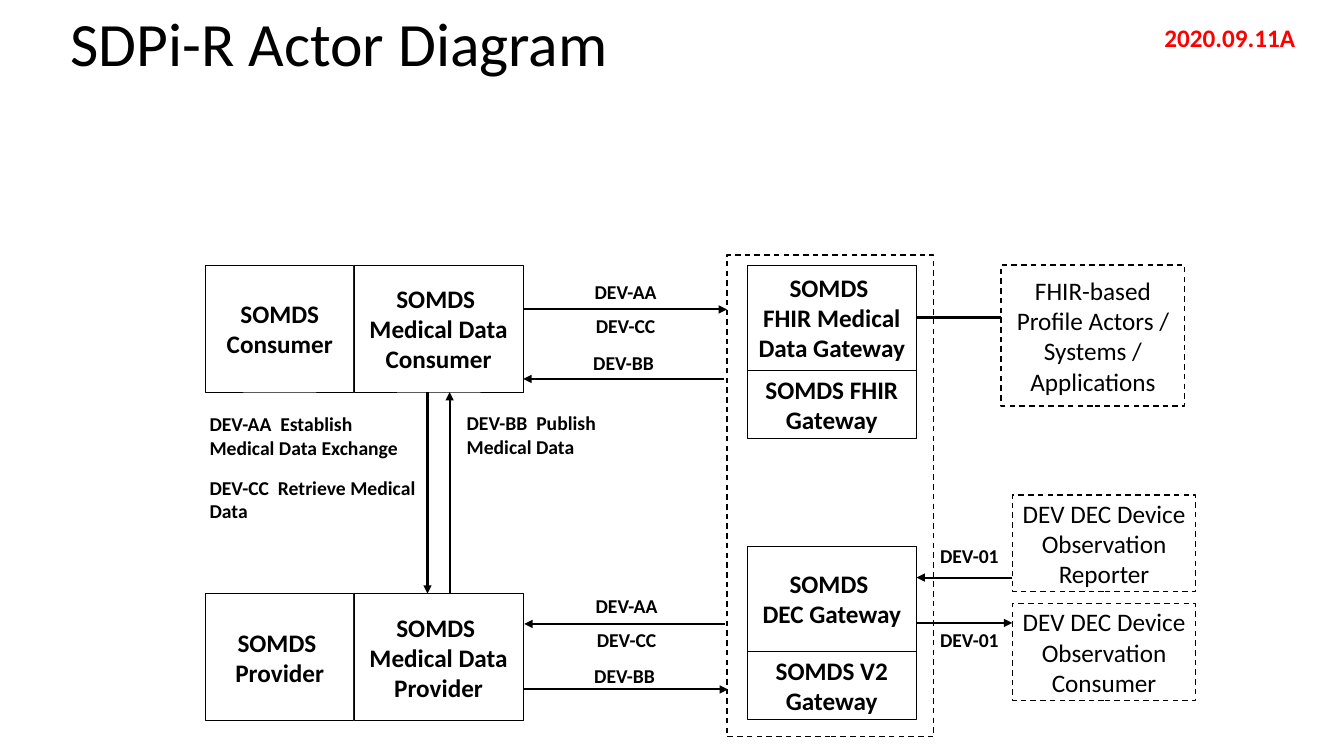
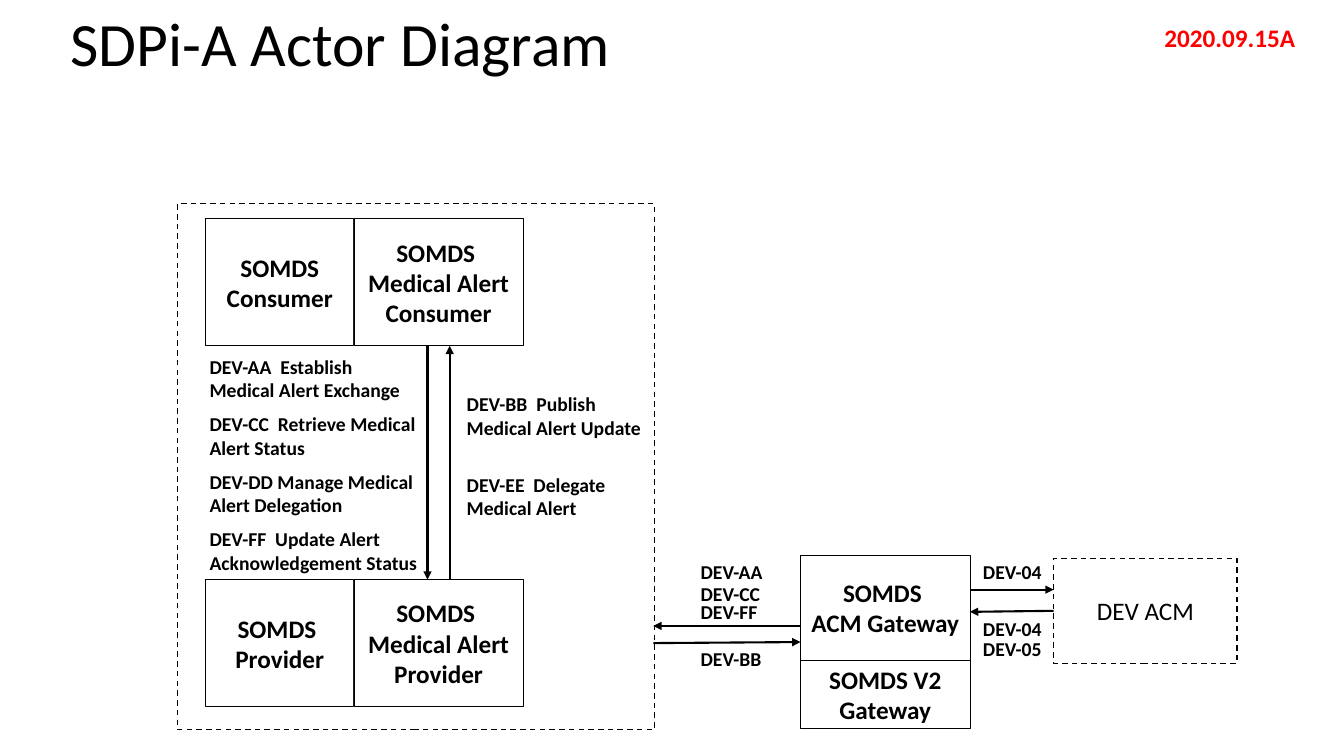
from typing import NamedTuple, Optional

from lxml import etree
from pptx import Presentation
from pptx.dml.color import RGBColor
from pptx.enum.dml import MSO_LINE
from pptx.enum.shapes import MSO_CONNECTOR, MSO_SHAPE
from pptx.enum.text import MSO_ANCHOR, MSO_AUTO_SIZE, PP_ALIGN
from pptx.oxml.ns import qn
from pptx.util import Inches, Pt

RECT = MSO_SHAPE.RECTANGLE
STRAIGHT = MSO_CONNECTOR.STRAIGHT
DASH = MSO_LINE.DASH
LEFT, CENTER = PP_ALIGN.LEFT, PP_ALIGN.CENTER
TOP, MIDDLE = MSO_ANCHOR.TOP, MSO_ANCHOR.MIDDLE
GROW = MSO_AUTO_SIZE.SHAPE_TO_FIT_TEXT
SIDE_LEFT, SIDE_RIGHT = 1, 3

FONT = "Calibri"
COLORS = {"ink": "000000", "paper": "FFFFFF", "date": "FF0000"}

# Shared measures of the diagrams, in inches
PAIR_X, PAIR_SPLIT, PAIR_RIGHT, PAIR_H = 2.04, 3.51, 5.19, 1.26
DOWN_X, UP_X = 4.24, 4.46
GATEWAY_W, GATEWAY_H, GATEWAY_BASE_H = 1.68, 1.04, 0.68
PARTNER_W = 1.82
LABEL_H, NOTE_H = 0.34, 0.57


class Box(NamedTuple):
    x: float
    y: float
    w: float
    h: float
    text: str = ""
    dashed: bool = False


class Label(NamedTuple):
    x: float
    y: float
    w: float
    h: float
    text: str
    align: PP_ALIGN = LEFT


class Line(NamedTuple):
    x1: float
    y1: float
    x2: float
    y2: float
    arrow: bool = True


def rgb(name: str) -> RGBColor:
    return RGBColor.from_string(COLORS[name])


def write(tf, text: str, *, size: float = 14, bold: bool = True,
          color: str = "ink", align: PP_ALIGN = LEFT,
          anchor: MSO_ANCHOR = TOP, spacing: Optional[float] = None) -> None:
    """Fill a text frame, one paragraph for each line of text."""
    tf.word_wrap = True
    tf.vertical_anchor = anchor
    for i, line in enumerate(text.split("\n")):
        p = tf.paragraphs[0] if i == 0 else tf.add_paragraph()
        p.alignment = align
        if spacing:
            p.line_spacing = spacing
        r = p.add_run()
        r.text = line
        r.font.name, r.font.size, r.font.bold = FONT, Pt(size), bold
        r.font.color.rgb = rgb(color)


def add_box(s, box: Box):
    sp = s.shapes.add_shape(RECT, *map(Inches, box[:4]))
    sp.shadow.inherit = False
    sp.line.color.rgb = rgb("ink")
    if box.dashed:
        sp.fill.background()
        sp.line.width = Pt(1)
        sp.line.dash_style = DASH
    else:
        sp.fill.solid()
        sp.fill.fore_color.rgb = rgb("paper")
        sp.line.width = Pt(0.5)
    if box.text:
        write(sp.text_frame, box.text, size=18, bold=not box.dashed,
              align=CENTER, anchor=MIDDLE)
    return sp


def add_label(s, label: Label, **fmt) -> None:
    tf = s.shapes.add_textbox(*map(Inches, label[:4])).text_frame
    write(tf, label.text, align=label.align, **fmt)
    tf.auto_size = GROW


def add_line(s, line: Line):
    cx = s.shapes.add_connector(STRAIGHT, *map(Inches, line[:4]))
    cx.line.color.rgb = rgb("ink")
    cx.line.width = Pt(1.5)
    if line.arrow:
        etree.SubElement(cx.line._get_or_add_ln(), qn("a:tailEnd"), type="triangle")
    etree.SubElement(cx._element.spPr, qn("a:effectLst"))
    return cx


def add_diagram_slide(prs, title: str, date: str):
    """Blank slide with the common title and revision date."""
    s = prs.slides.add_slide(prs.slide_layouts[6])
    add_label(s, Label(11.45, 0.17, 1.61, 0.4, date), size=18, color="date")
    sp = s.shapes.add_textbox(Inches(0.6), Inches(0.04), Inches(11.5), Inches(0.84))
    write(sp.text_frame, title, size=44, bold=False, anchor=MIDDLE, spacing=0.9)
    return s


def add_actor_pairs(s, topic: str, consumer_y: float, provider_y: float) -> None:
    """Consumer pair above, provider pair below, and the two arrows between."""
    rows = ((consumer_y, "SOMDS Consumer", "Consumer"),
            (provider_y, "SOMDS \nProvider", "Provider"))
    for y, base, role in rows:
        add_box(s, Box(PAIR_X, y, PAIR_SPLIT - PAIR_X, PAIR_H, base))
        add_box(s, Box(PAIR_SPLIT, y, PAIR_RIGHT - PAIR_SPLIT, PAIR_H,
                       f"SOMDS \nMedical {topic} {role}"))
    bottom = consumer_y + PAIR_H
    add_line(s, Line(DOWN_X, bottom, DOWN_X, provider_y))
    add_line(s, Line(UP_X, provider_y, UP_X, bottom))


def add_gateway(s, x: float, y: float, name: str, base: str):
    """Gateway actor stacked on its base actor; returns the upper box."""
    add_box(s, Box(x, y + GATEWAY_H, GATEWAY_W, GATEWAY_BASE_H, base))
    return add_box(s, Box(x, y, GATEWAY_W, GATEWAY_H, name))


def build_reporting(prs) -> None:
    s = add_diagram_slide(prs, "SDPi-R Actor Diagram", "2020.09.11A")
    add_actor_pairs(s, "Data", 2.63, 5.89)

    # Gateways inside their dashed frame
    x, right = 7.41, 7.41 + GATEWAY_W
    fhir = add_gateway(s, x, 2.63, "SOMDS \nFHIR Medical Data Gateway",
                       "SOMDS FHIR Gateway")
    add_gateway(s, x, 5.42, "SOMDS \nDEC Gateway", "SOMDS V2 Gateway")
    add_box(s, Box(7.21, 2.53, 2.05, 4.78, dashed=True))

    # Partner systems
    add_box(s, Box(9.93, 2.63, PARTNER_W, 1.4,
                   "FHIR-based Profile Actors / Systems / Applications", True))
    for y, role in ((4.91, "Reporter"), (5.99, "Consumer")):
        add_box(s, Box(10.04, y, PARTNER_W, 0.96,
                       f"DEV DEC Device Observation {role}", True))
    cx = add_line(s, Line(right, 3.15, 9.93, 3.15, arrow=False))
    cx.begin_connect(fhir, SIDE_RIGHT)

    # Arrows between the actors, the gateways and the partners
    for line in (Line(10.04, 5.73, right, 5.73), Line(right, 6.18, 10.04, 6.18),
                 Line(PAIR_RIGHT, 3.07, 7.21, 3.07),
                 Line(7.18, 3.76, PAIR_RIGHT, 3.76),
                 Line(7.19, 6.19, 5.2, 6.19), Line(5.2, 6.84, 7.22, 6.84)):
        add_line(s, line)

    # Transaction labels
    for y in (5.35, 6.18):
        add_label(s, Label(9.2, y, 0.83, LABEL_H, "DEV-01", CENTER))
    for x, y in ((5.19, 2.73), (5.2, 5.84)):
        for dy, w, code in ((0, 2.03, "AA"), (0.34, 2.03, "CC"), (0.7, 1.99, "BB")):
            add_label(s, Label(x, y + dy, w, LABEL_H, f"DEV-{code}", CENTER))
    for note in (
            Label(1.98, 4.04, 2.26, NOTE_H, "DEV-AA  Establish Medical Data Exchange"),
            Label(1.98, 4.67, 2.26, NOTE_H, "DEV-CC  Retrieve Medical Data"),
            Label(4.53, 4.03, 1.66, NOTE_H, "DEV-BB  Publish Medical Data")):
        add_label(s, note)


def build_alerting(prs) -> None:
    s = add_diagram_slide(prs, "SDPi-A Actor Diagram", "2020.09.15A")
    add_box(s, Box(1.76, 2.02, 4.73, 5.22, dashed=True))
    add_actor_pairs(s, "Alert", 2.17, 5.75)

    # Gateway and its partner
    x, right, partner_x = 7.94, 7.94 + GATEWAY_W, 10.45
    add_gateway(s, x, 5.51, "SOMDS \nACM Gateway", "SOMDS V2 Gateway")
    acm = add_box(s, Box(partner_x, 5.54, PARTNER_W, 1.04, "DEV ACM", True))
    add_line(s, Line(right, 5.85, partner_x, 5.85))
    cx = add_line(s, Line(partner_x, 6.06, right, 6.07))
    cx.begin_connect(acm, SIDE_LEFT)
    add_line(s, Line(x, 6.21, 6.48, 6.21))
    add_line(s, Line(6.48, 6.38, x, 6.37))

    # Transaction labels
    for y, code in ((5.51, "AA"), (5.72, "CC"), (5.9, "FF"), (6.37, "BB")):
        add_label(s, Label(6.85, y, 1.32, LABEL_H, f"DEV-{code}"))
    for y, code in ((5.51, "04"), (6.07, "04"), (6.27, "05")):
        add_label(s, Label(9.65, y, 0.92, LABEL_H, f"DEV-{code}"))
    requests = ("DEV-AA  Establish Medical Alert Exchange",
                "DEV-CC  Retrieve Medical Alert Status",
                "DEV-DD Manage Medical Alert Delegation",
                "DEV-FF  Update Alert Acknowledgement Status")
    for i, text in enumerate(requests):
        w = 2.41 if i == len(requests) - 1 else 2.26
        add_label(s, Label(1.98, 3.47 + i * NOTE_H, w, NOTE_H, text))
    for y, text in ((3.84, "DEV-BB  Publish Medical Alert Update"),
                    (4.64, "DEV-EE  Delegate Medical Alert")):
        add_label(s, Label(4.53, y, 1.95, NOTE_H, text))


def main() -> None:
    prs = Presentation()
    prs.slide_width, prs.slide_height = Inches(13.33), Inches(7.5)
    build_reporting(prs)
    build_alerting(prs)
    prs.save("out.pptx")


if __name__ == "__main__":
    main()
